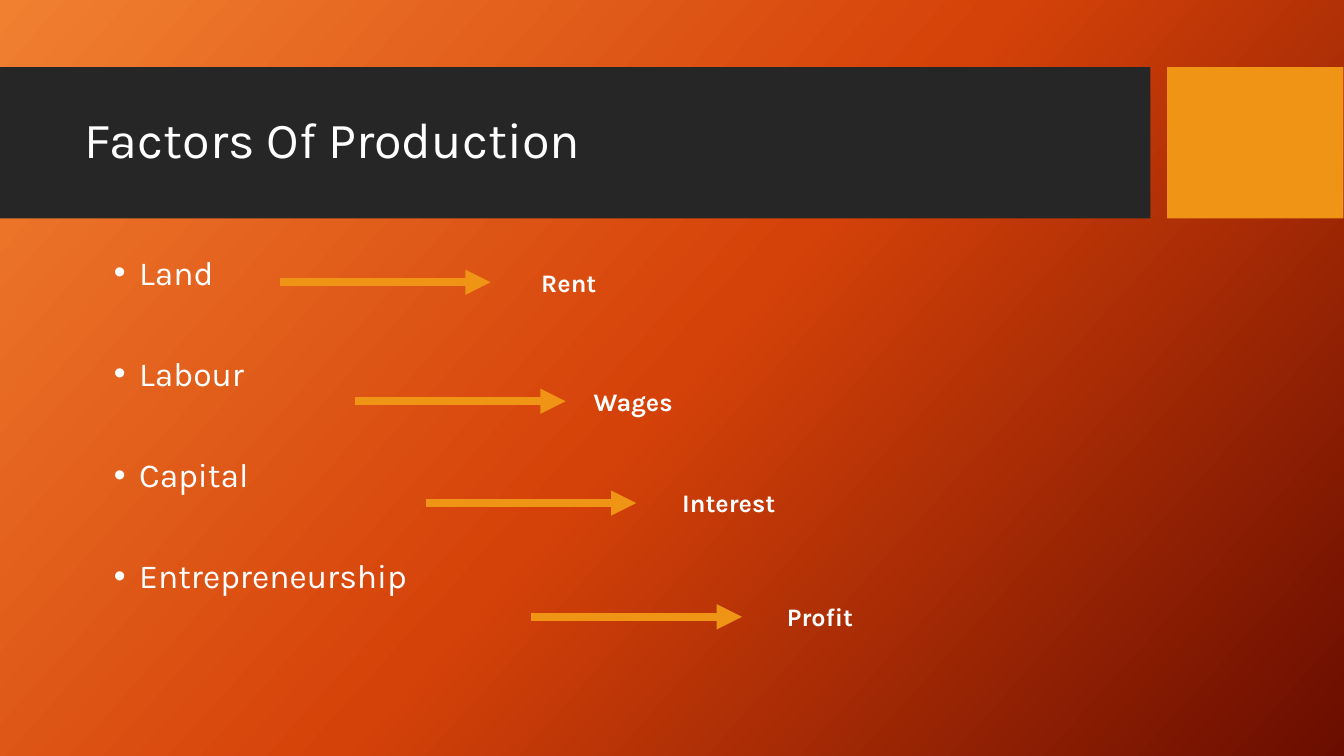
"""Build the slide on the factors of production and their rewards."""
from copy import deepcopy

from lxml import etree
from pptx import Presentation
from pptx import util as u
from pptx.dml.color import RGBColor
from pptx.enum import shapes, text
from pptx.oxml import ns

WHITE = RGBColor(0xFF, 0xFF, 0xFF)
DARK = RGBColor(0x26, 0x26, 0x26)
GOLD = RGBColor(0xF0, 0x94, 0x15)
GLOW = [(0, RGBColor(0xF1, 0x80, 0x31)),
        (0.5, RGBColor(0xD5, 0x42, 0x09)),
        (1, RGBColor(0x6A, 0x0D, 0x00))]

FACTORS = ["Land", "Labour", "Capital", "Entrepreneurship"]
REWARDS = [("Rent", 200, 379.5, 201.6),
           ("Wages", 253.5, 417, 286.6),
           ("Interest", 304, 480.2, 359.3),
           ("Profit", 379.5, 555, 440.6)]
SPAN = 150.5


class Page:
    def __init__(self, slide, face, ink):
        self.slide = slide
        self.face = face
        self.ink = ink

    def glow(self, stops, angle):
        fill = self.slide.background.fill
        fill.gradient()
        fill.gradient_angle = angle
        marks = self.slide.element.find(".//" + ns.qn("a:gsLst"))
        marks.insert(1, deepcopy(marks[0]))
        for stop, (place, color) in zip(fill.gradient_stops, stops):
            stop.position = place
            stop.color.rgb = color

    def block(self, left, top, width, height, color):
        block = self.slide.shapes.add_shape(
            shapes.MSO_SHAPE.RECTANGLE, u.Pt(left), u.Pt(top), u.Pt(width), u.Pt(height))
        block.shadow.inherit = False
        block.fill.solid()
        block.fill.fore_color.rgb = color
        block.line.fill.background()

    def style(self, para, words, size, bold=False):
        para.text = words
        para.alignment = text.PP_ALIGN.LEFT
        font = para.font
        font.name, font.size, font.bold = self.face, u.Pt(size), bold
        font.color.rgb = self.ink

    def place(self, holder, left, top, width, height, anchor):
        holder.left, holder.top = u.Pt(left), u.Pt(top)
        holder.width, holder.height = u.Pt(width), u.Pt(height)
        frame = holder.text_frame
        frame.auto_size = text.MSO_AUTO_SIZE.NONE
        frame.vertical_anchor = anchor
        tree = holder.element.getparent()
        tree.remove(holder.element)
        tree.append(holder.element)
        return frame

    def title(self, words, *box):
        frame = self.place(self.slide.shapes.title, *box, text.MSO_ANCHOR.MIDDLE)
        para = frame.paragraphs[0]
        self.style(para, words, 36)
        para.line_spacing = 0.9

    def bullets(self, items, gap, *box):
        frame = self.place(self.slide.placeholders[1], *box, text.MSO_ANCHOR.TOP)
        for i, item in enumerate(items):
            para = frame.add_paragraph() if i else frame.paragraphs[0]
            self.style(para, item, 24)
            para.line_spacing = 0.9
            para.space_before = u.Pt(0)
            para.space_after = u.Pt(gap)
            props = para.font._element.getparent()
            props.set("marL", str(u.Pt(18)))
            props.set("indent", str(-u.Pt(18)))
            etree.SubElement(props, ns.qn("a:buFont"), typeface="Arial")
            etree.SubElement(props, ns.qn("a:buChar"), char="•")
            props.append(props.find(ns.qn("a:defRPr")))

    def arrow(self, left, top, width):
        arrow = self.slide.shapes.add_connector(
            shapes.MSO_CONNECTOR.STRAIGHT, u.Pt(left), u.Pt(top), u.Pt(left + width), u.Pt(top))
        arrow.line.color.rgb = GOLD
        arrow.line.width = u.Pt(6)
        props = arrow.element.spPr
        etree.SubElement(props.find(ns.qn("a:ln")), ns.qn("a:tailEnd"), type="triangle")
        etree.SubElement(props, ns.qn("a:effectLst"))

    def label(self, words, left, top, width, height):
        box = self.slide.shapes.add_textbox(u.Pt(left), u.Pt(top), u.Pt(width), u.Pt(height))
        frame = box.text_frame
        frame.word_wrap = True
        frame.auto_size = text.MSO_AUTO_SIZE.SHAPE_TO_FIT_TEXT
        self.style(frame.paragraphs[0], words, 18, True)


def main():
    deck = Presentation()
    deck.slide_width, deck.slide_height = u.Pt(960), u.Pt(540)
    page = Page(deck.slides.add_slide(deck.slide_layouts[1]), "Karla", WHITE)
    page.glow(GLOW, 318)
    page.block(0, 48, 821.8, 108, DARK)
    page.block(833.6, 48, 126, 108, GOLD)
    page.title("Factors Of Production", 53.3, 59, 756.7, 85)
    page.bullets(FACTORS, 46.4, 74.2, 179.3, 830.9, 286.6)
    for name, start, left, middle in REWARDS:
        page.arrow(start, middle, SPAN)
        page.label(name, left, middle - 14.4, SPAN, 28.8)
    deck.save("out.pptx")


if __name__ == "__main__":
    main()
